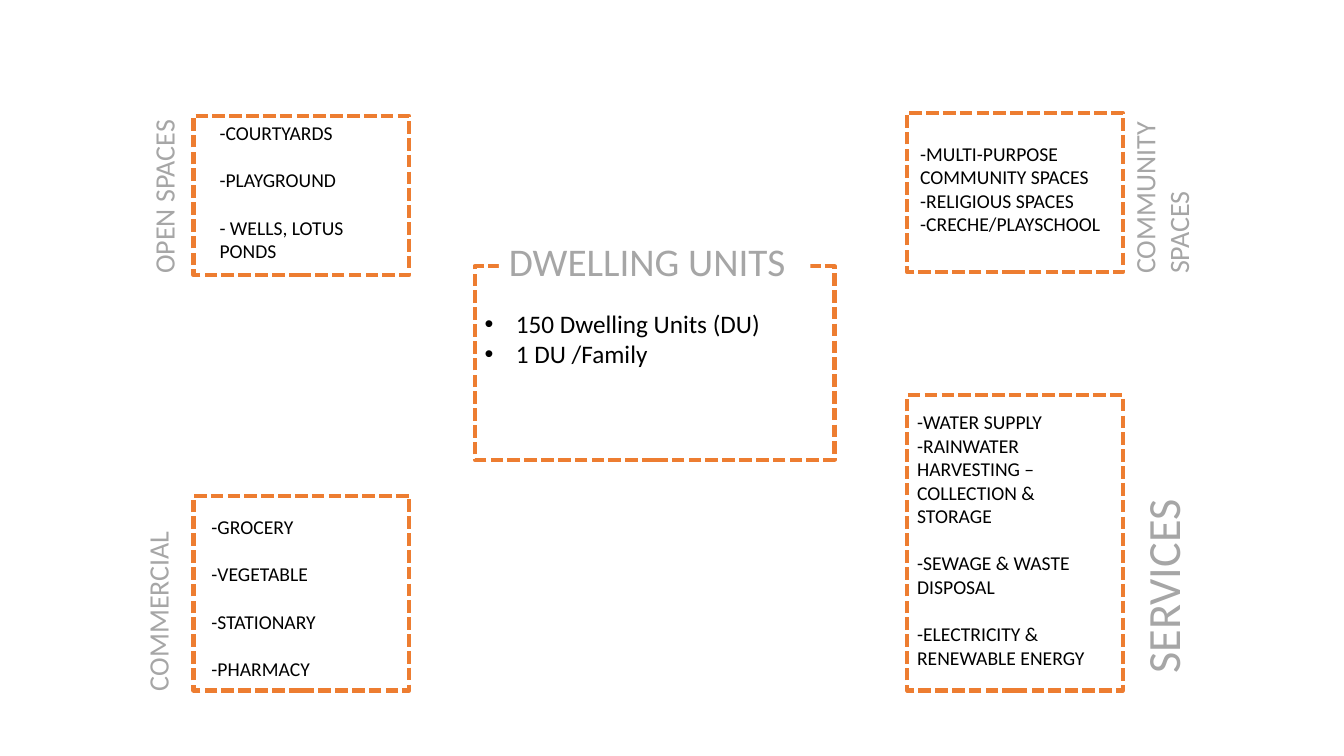
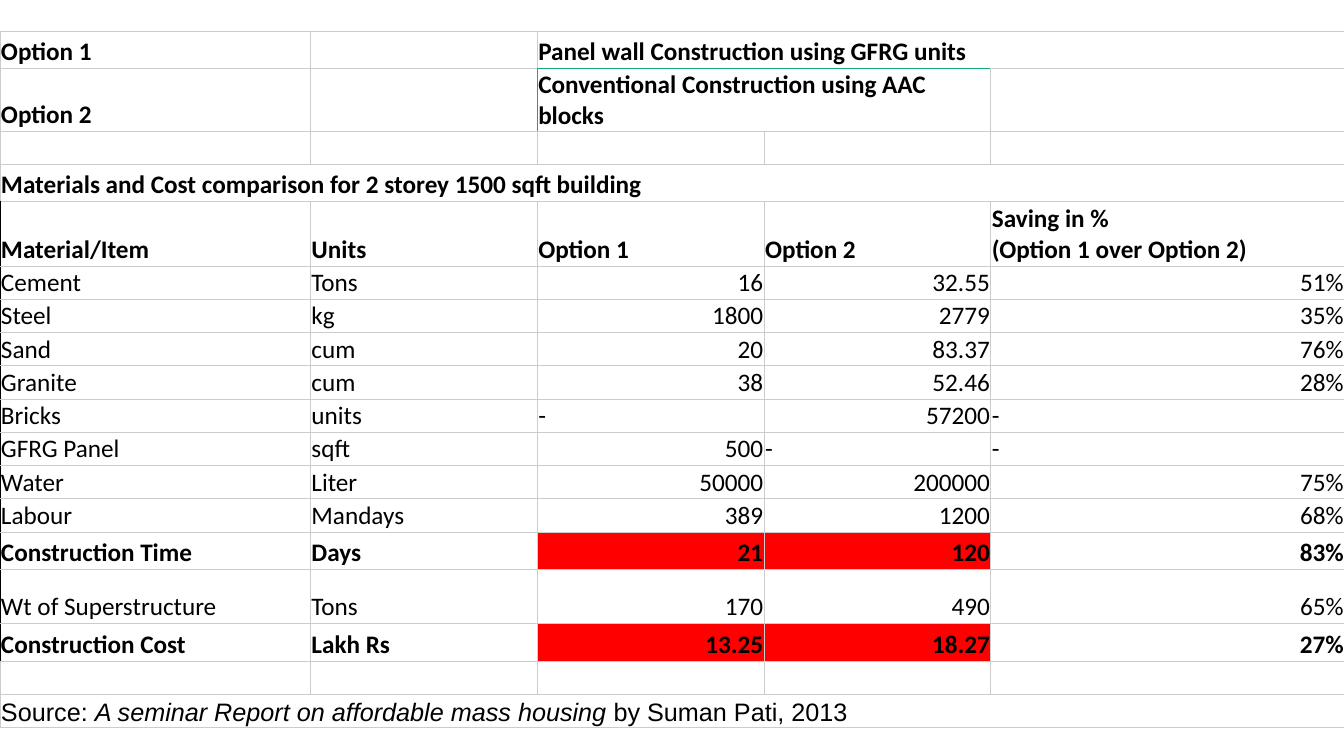
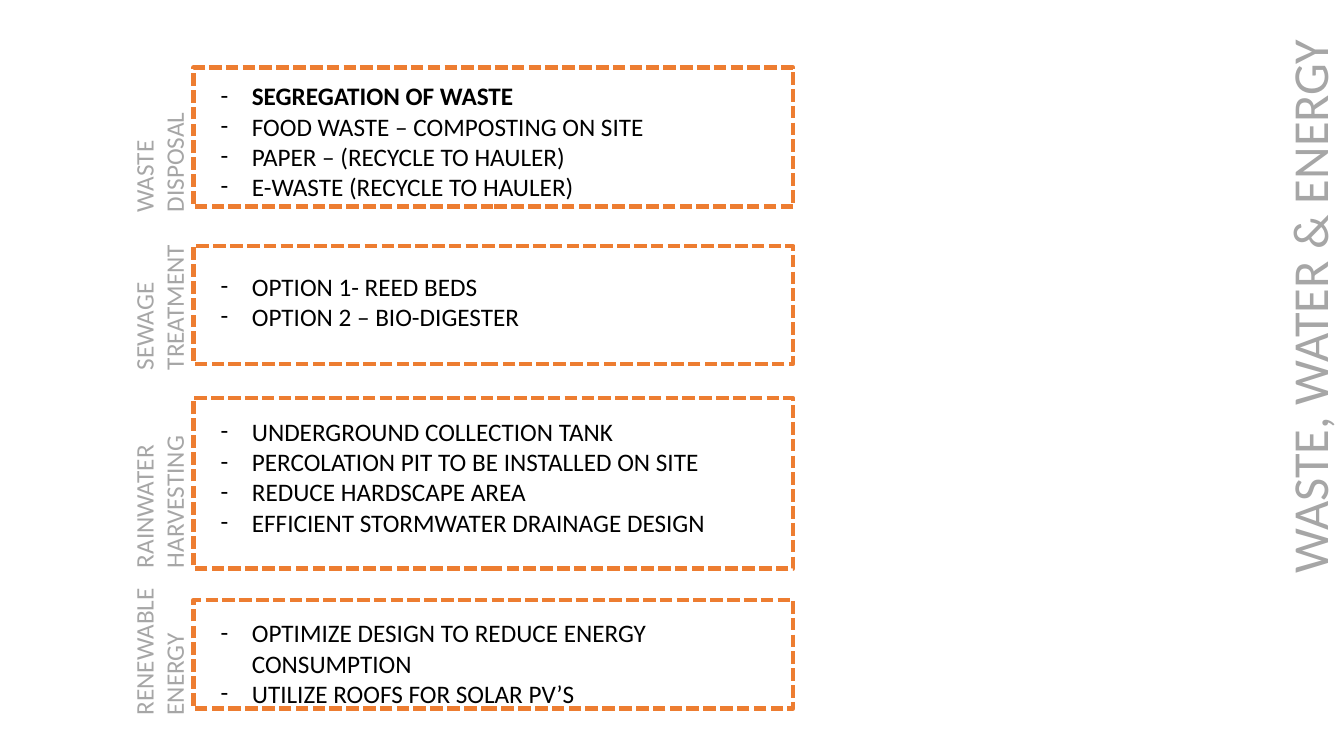
from lxml.etree import SubElement
from pptx import Presentation
from pptx.dml.color import RGBColor
from pptx.enum.dml import MSO_LINE_DASH_STYLE as Dash
from pptx.enum.shapes import MSO_SHAPE as Preset
from pptx.enum.text import MSO_AUTO_SIZE as Fit, MSO_VERTICAL_ANCHOR as Anchor, PP_ALIGN as Align
from pptx.oxml.ns import qn
from pptx.util import Emu, Inches, Pt

CELL = Inches(0.1)
WIDE, HIGH = 133.33, 75
ORANGE, GREY, BLACK, WHITE = "ED7D31", "A6A6A6", "000000", "FFFFFF"
RED, RULE, GREEN = "FF0000", "CCCCCC", "10AC6F"
PANEL_LEFT, PANEL_RIGHT, PANEL_WIDTH = 19.2, 90, 21.4
INDENT = Inches(0.31)

OPEN_SPACES = ["-COURTYARDS", "-PLAYGROUND", "- WELLS, LOTUS PONDS"]
COMMUNITY = ["-MULTI-PURPOSE COMMUNITY SPACES", "-RELIGIOUS SPACES", "-CRECHE/PLAYSCHOOL"]
COMMERCIAL = ["-GROCERY", "-VEGETABLE", "-STATIONARY", "-PHARMACY"]
SUPPLY = ["-WATER SUPPLY", "-RAINWATER HARVESTING – COLLECTION & STORAGE"]
DISPOSAL = ["-SEWAGE & WASTE DISPOSAL", "-ELECTRICITY & RENEWABLE ENERGY"]

UTILITIES = [
    (6.7, 13.8, 7.5, ["WASTE ", "DISPOSAL"], 9.65, 24.8,
     ["SEGREGATION OF WASTE", "FOOD WASTE – COMPOSTING ON SITE",
      "PAPER – (RECYCLE TO HAULER)", "E-WASTE (RECYCLE TO HAULER)"]),
    (24.4, 11.7, 26.4, ["SEWAGE ", "TREATMENT"], 23.85, 27.7,
     ["OPTION 1- REED BEDS", "OPTION 2 – BIO-DIGESTER "]),
    (39.5, 16.9, 40.8, ["RAINWATER HARVESTING"], 46.65, 21.4,
     ["UNDERGROUND COLLECTION TANK ", "PERCOLATION PIT TO BE INSTALLED ON SITE",
      "REDUCE HARDSCAPE AREA", "EFFICIENT STORMWATER DRAINAGE DESIGN"]),
    (59.5, 10.8, 60.8, ["RENEWABLE ", "ENERGY"], 61.25, 21.4,
     ["OPTIMIZE DESIGN TO REDUCE ENERGY CONSUMPTION", "UTILIZE ROOFS FOR SOLAR PV’S"]),
]

COLUMNS = [30.8, 22.5, 22.5, 22.5, 35.1]
TALL_ROWS = {0: 3.7, 1: 6.2, 3: 3.7, 4: 6.4, 13: 3.7, 14: 5.4, 15: 3.7}
ROW_HEIGHT = 3.3
BOLD_ROWS = {0, 1, 3, 4, 13, 15}
HEADER_ROW, TIME_ROW, COST_ROW, SOURCE_ROW = 4, 13, 15, 17
MERGES = [(0, 2, 4), (1, 2, 3), (3, 0, 4), (SOURCE_ROW, 0, 4)]
COSTS = [
    ["Option 1", "", "Panel wall Construction using GFRG units", "", ""],
    ["Option 2", "", "Conventional Construction using AAC blocks", "", ""],
    [""] * 5,
    ["Materials and Cost comparison for 2 storey 1500 sqft building", "", "", "", ""],
    ["Material/Item", "Units", "Option 1", "Option 2", "Saving in % \n(Option 1 over Option 2)"],
    ["Cement", "Tons", "16", "32.55", "51%"],
    ["Steel ", "kg", "1800", "2779", "35%"],
    ["Sand ", "cum", "20", "83.37", "76%"],
    ["Granite", "cum", "38", "52.46", "28%"],
    ["Bricks", "units", "-", "57200", "-"],
    ["GFRG Panel", "sqft", "500", "-", "-"],
    ["Water", "Liter", "50000", "200000", "75%"],
    ["Labour", "Mandays", "389", "1200", "68%"],
    ["Construction Time", "Days", "21", "120", "83%"],
    ["Wt of Superstructure", "Tons", "170", "490", "65%"],
    ["Construction Cost", "Lakh Rs", "13.25", "18.27", "27%"],
    [""] * 5,
    [""] * 5,
]
SOURCE = [("Source: ", False), ("A seminar Report on affordable mass housing ", True),
          ("by Suman Pati, 2013", False)]


def color(code):
    """Turn a hex string into a colour."""
    return RGBColor.from_string(code)


def place(*cells):
    """Turn grid cells into slide lengths."""
    return [Emu(round(cell * CELL)) for cell in cells]


def apply(target, values):
    """Set every named attribute on the target."""
    for name, value in values.items():
        setattr(target, name, value)


def write(para, text, size=18, ink=BLACK, **look):
    """Add styled text to a paragraph, breaking at newlines."""
    for number, line in enumerate(text.split("\n")):
        if number:
            para.add_line_break()
        span = para.add_run()
        span.text = line
        apply(span.font, {"name": "Calibri", "size": Pt(size), **look})
        span.font.color.rgb = color(ink)


def fill_frame(frame, lines, gap=0, **look):
    """Write one paragraph a line and return the paragraphs."""
    apply(frame, {"word_wrap": True, "auto_size": Fit.SHAPE_TO_FIT_TEXT,
                  "vertical_anchor": Anchor.TOP})
    paras = [frame.paragraphs[0]] + [frame.add_paragraph() for _ in lines[1:]]
    for number, (para, line) in enumerate(zip(paras, lines)):
        apply(para, {"alignment": Align.LEFT, "space_before": Pt(gap if number else 0)})
        write(para, line, **look)
    return paras


def add_text(page, left, top, width, height, lines, **look):
    """Add a text box and return its paragraphs."""
    box = page.shapes.add_textbox(*place(left, top, width, height))
    return fill_frame(box.text_frame, lines, **look)


def add_bullets(page, left, top, width, height, lines, mark):
    """Add a text box with hanging bullets and return its paragraphs."""
    paras = add_text(page, left, top, width, height, lines)
    for para in paras:
        props = para._p.get_or_add_pPr()
        props.set("marL", str(INDENT))
        props.set("indent", str(-INDENT))
        SubElement(props, qn("a:buFont")).set("typeface", "Arial" if mark == "•" else "Calibri")
        SubElement(props, qn("a:buChar")).set("char", mark)
    return paras


def add_side_label(page, center, middle, length, depth, lines, size):
    """Add grey text that reads upwards around a centre point."""
    box = page.shapes.add_textbox(
        *place(center - length / 2, middle - depth / 2, length, depth))
    box.rotation = 270
    fill_frame(box.text_frame, lines, size=size, ink=GREY)


def add_panel(page, left, top, width, height):
    """Add a dashed orange frame."""
    panel = page.shapes.add_shape(Preset.RECTANGLE, *place(left, top, width, height))
    panel.shadow.inherit = False
    panel.fill.background()
    apply(panel.line, {"width": Pt(3), "dash_style": Dash.SQUARE_DOT})
    panel.line.color.rgb = color(ORANGE)


def add_heading(page, left, top, width, height, text):
    """Add a white plate with a grey heading."""
    plate = page.shapes.add_shape(Preset.RECTANGLE, *place(left, top, width, height))
    plate.shadow.inherit = False
    plate.fill.solid()
    plate.fill.fore_color.rgb = color(WHITE)
    plate.line.fill.background()
    fill_frame(plate.text_frame, [text], size=28, ink=GREY)


def edge_colors(row, column):
    """Choose the border colours of one table cell."""
    edges = dict.fromkeys("LRTB", RULE)
    if HEADER_ROW <= row <= COST_ROW:
        edges.update({0: {"L": BLACK}, 4: {"R": BLACK}}.get(column, {}))
    if column in (2, 3) and row < 2:
        edges["B" if row == 0 else "T"] = GREEN
    if row == 1 and column in (1, 2):
        edges["R" if column == 1 else "L"] = GREEN
    return edges


def style_cell(cell, row, column):
    """Set the margins, borders and fill of one table cell."""
    margins = ("margin_left", "margin_right", "margin_top", "margin_bottom")
    apply(cell, {**dict.fromkeys(margins, Inches(0.01)), "vertical_anchor": Anchor.BOTTOM})
    props = cell._tc.get_or_add_tcPr()
    for side, code in edge_colors(row, column).items():
        edge = SubElement(props, qn("a:ln" + side), w=str(Pt(0.75)))
        SubElement(SubElement(edge, qn("a:solidFill")), qn("a:srgbClr"), val=code)
    if row in (TIME_ROW, COST_ROW) and column in (2, 3):
        cell.fill.solid()
        cell.fill.fore_color.rgb = color(RED)
    else:
        cell.fill.background()


def build_program(page):
    """Show the spaces and services around the dwelling units."""
    add_panel(page, 47.1, 26.4, 35.7, 19.2)
    add_bullets(page, 47.1, 30.1, 35.7, 7.1, ["150 Dwelling Units (DU)", "1 DU /Family"], "•")
    add_heading(page, 49.5, 23.1, 30.9, 5.7, "DWELLING UNITS")
    for left, top, height in [(PANEL_LEFT, 11.5, 15.8), (PANEL_RIGHT, 11.2, 15.8),
                              (PANEL_LEFT, 49.2, 19.3), (PANEL_RIGHT, 39.2, 29.3)]:
        add_panel(page, left, top, PANEL_WIDTH, height)
    for left, top, width, height, lines, gap in [
            (20.8, 11.5, 18.3, 17.5, OPEN_SPACES, 17),
            (90.3, 13.55, 22.5, 12.7, COMMUNITY, 0),
            (20, 50.6, 20.6, 17.5, COMMERCIAL, 17),
            (90, 40.2, 21, 12.7, SUPPLY, 0),
            (90, 54.2, 21, 15.1, DISPOSAL, 17)]:
        add_text(page, left, top, width, height, lines, gap=gap, size=14)
    for center, middle, length, depth, label, size in [
            (16.25, 19, 18.3, 4.4, "OPEN SPACES", 20),
            (115.2, 17.55, 21.2, 7.7, "COMMUNITY SPACES ", 20),
            (115.3, 57.5, 20.6, 6.6, "SERVICES", 33),
            (15.65, 58.4, 22.3, 4.4, "COMMERCIAL", 20)]:
        add_side_label(page, center, middle, length, depth, [label], size)


def build_costs(page):
    """Compare the materials and costs of two building methods."""
    heights = [TALL_ROWS.get(row, ROW_HEIGHT) for row in range(len(COSTS))]
    table = page.shapes.add_table(len(COSTS), len(COLUMNS),
                                  *place(0, 3.1, WIDE, sum(heights))).table
    apply(table, {"first_row": False, "horz_banding": False})
    for column, width in zip(table.columns, place(*COLUMNS)):
        column.width = width
    for line, height in zip(table.rows, place(*heights)):
        line.height = height
    for row, texts in enumerate(COSTS):
        for column, text in enumerate(texts):
            cell = table.cell(row, column)
            style_cell(cell, row, column)
            para = cell.text_frame.paragraphs[0]
            para.font.size = Pt(18)
            if text:
                write(para, text, bold=row in BOLD_ROWS)
            if row > HEADER_ROW and text[:1].isdigit():
                para.alignment = Align.RIGHT
    for row, first, last in MERGES:
        table.cell(row, first).merge(table.cell(row, last))
    credit = table.cell(SOURCE_ROW, 0).text_frame.paragraphs[0]
    for text, italic in SOURCE:
        write(credit, text, name="Arial", italic=italic)


def build_utilities(page):
    """List the measures for waste, water and energy."""
    for top, height, text_top, label, middle, length, lines in UTILITIES:
        add_panel(page, PANEL_LEFT, top, 59.5, height)
        add_side_label(page, 15.8, middle, length, 7.1, label, 18)
        paras = add_bullets(page, 20.9, text_top, 57.8, 3.3 * len(lines), lines, "-")
        if lines[0].startswith("SEGREGATION"):
            paras[0].runs[0].font.bold = True
    add_side_label(page, 129.8, 28.95, 57.8, 7.1, ["WASTE, WATER & ENERGY"], 36)


def main():
    """Build and save the deck."""
    deck = Presentation()
    deck.slide_width, deck.slide_height = place(WIDE, HIGH)
    for build in (build_program, build_costs, build_utilities):
        build(deck.slides.add_slide(deck.slide_layouts[6]))
    deck.save("out.pptx")


main()
